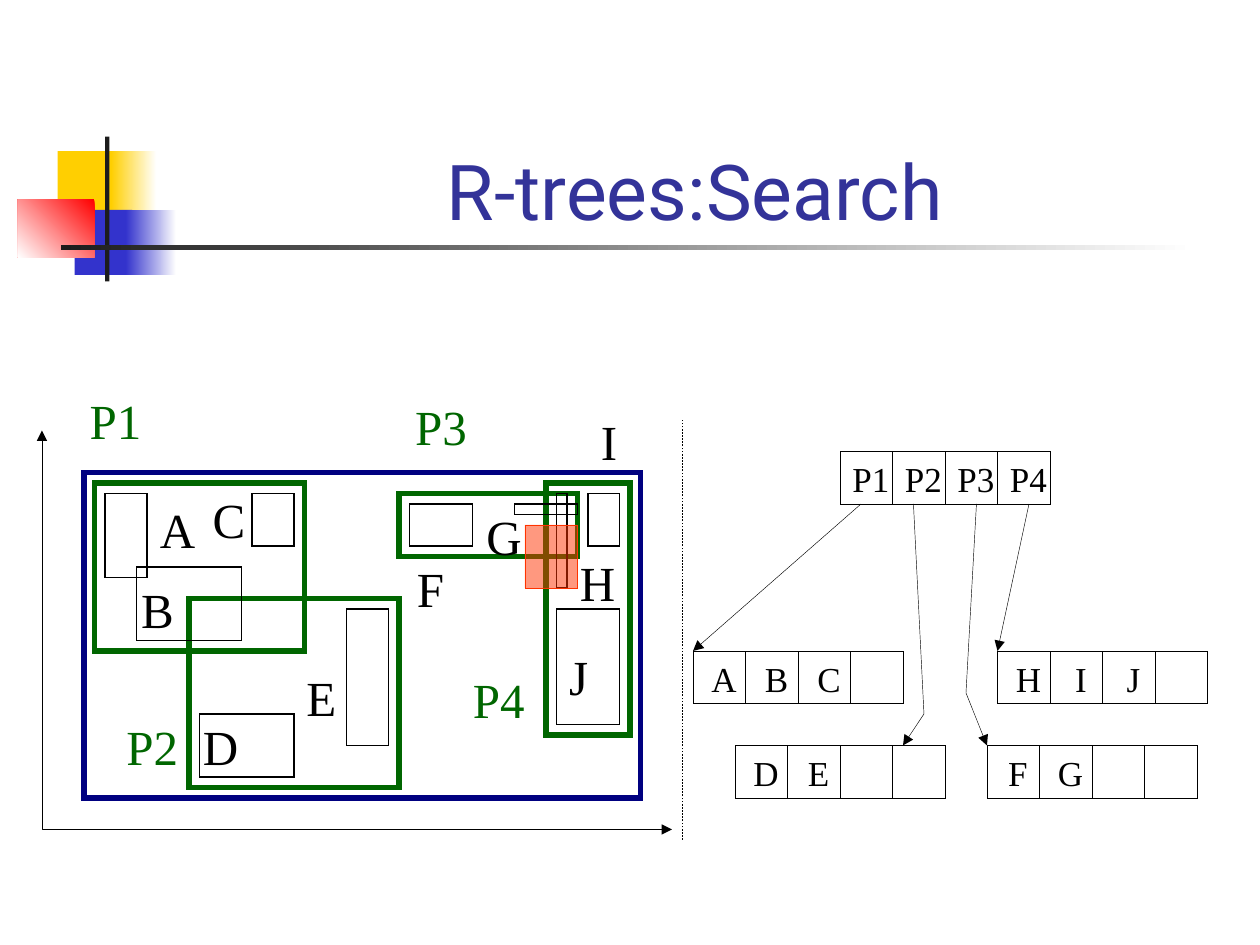
"""Build the R-tree search slide on a grid of 120 columns by 90 rows."""
import dataclasses

import lxml.etree
import pptx
import pptx.dml.color
import pptx.enum.dml
import pptx.enum.shapes
import pptx.enum.text
import pptx.oxml.ns
import pptx.util

COLUMNS, ROWS = 120, 90
UNIT = pptx.util.Inches(10) // COLUMNS
CELL, NODE_CELLS = 5, 4


@dataclasses.dataclass(frozen=True)
class Theme:
    """Hold the colours, fonts, type sizes and line widths."""
    title: str = "333399"
    ink: str = "000000"
    green: str = "006600"
    navy: str = "000080"
    query: str = "FF3300"
    yellow: str = "FFCF01"
    blue: str = "3333CC"
    red: str = "FF0000"
    charcoal: str = "1C1C1C"
    white: str = "FFFFFF"
    title_font: str = "Roboto"
    body_font: str = "Times New Roman"
    title_size: int = 44
    label_size: int = 28
    cell_size: int = 20
    hairline: float = 0.25
    thin: float = 0.75
    thick: float = 3


THEME = Theme()

ORNAMENTS = [
    ((5.5, 14.4, 5.8, 6.2), THEME.yellow, None),
    ((10.6, 14.4, 4.3, 6.2), THEME.yellow, 0),
    ((7.1, 20, 5.5, 6.2), THEME.blue, None),
    ((12, 20, 4.8, 6.2), THEME.blue, 0),
    ((1.7, 19, 7.3, 5.5), THEME.red, 225),
    ((10, 13, 0.42, 13.8), THEME.charcoal, None),
    ((5.8, 23.35, 108, 0.42), THEME.charcoal, 0),
]
REGIONS = [(9, 46, 20, 16), (52, 46, 8, 24), (18, 57, 20, 18), (38, 47, 17, 6)]
OBJECTS = [
    (10, 47, 4, 8), (24, 47, 4, 5), (13, 54, 10, 7), (19, 68, 9, 6), (33, 58, 4, 13),
    (39, 48, 6, 4), (53, 58, 6, 11), (56, 47, 3, 5), (49, 48, 6, 1), (53, 47, 1, 9),
]
OBJECT_LABELS = {
    "A": (16.9, 50.4), "B": (15, 58), "C": (21.8, 49.4), "D": (21, 71), "E": (30.6, 66.4),
    "F": (41, 56), "G": (48, 51), "H": (56.9, 55.4), "I": (58, 42), "J": (55.1, 64.4),
}
REGION_LABELS = {"P1": (11, 40), "P2": (14.5, 71), "P3": (42, 40.6), "P4": (47.5, 66.6)}
NODES = [
    (80, 43, ["P1", "P2", "P3", "P4"]),
    (94, 71, ["F", "G"]),
    (70, 71, ["D", "E"]),
    (95, 62, ["H", "I", "J"]),
    (66, 62, ["A", "B", "C"]),
]


def grid(*units):
    """Convert grid units to lengths."""
    return [pptx.util.Emu(round(unit * UNIT)) for unit in units]


def rgb(colour):
    """Convert a hex string to a colour."""
    return pptx.dml.color.RGBColor.from_string(colour)


def outline_of(shape):
    """Return the outline element of a shape."""
    return shape._element.spPr.find(pptx.oxml.ns.qn("a:ln"))


def add_box(shapes, place, fill=None, line=None, width=THEME.thin):
    """Add a rectangle with an optional fill and a square-cornered outline."""
    box = shapes.add_shape(pptx.enum.shapes.MSO_SHAPE.RECTANGLE, *grid(*place))
    box.shadow.inherit = False
    if fill:
        box.fill.solid()
        box.fill.fore_color.rgb = rgb(fill)
    else:
        box.fill.background()
    if line:
        box.line.color.rgb = rgb(line)
        box.line.width = pptx.util.Pt(width)
        lxml.etree.SubElement(outline_of(box), pptx.oxml.ns.qn("a:miter"), lim="800000")
    else:
        box.line.fill.background()
    return box


def add_ornament(shapes, place, colour, angle):
    """Add a plain block, or one that fades to white along an angle."""
    block = add_box(shapes, place, colour)
    if angle is not None:
        block.fill.gradient()
        block.fill.gradient_angle = angle
        for stop, shade in zip(block.fill.gradient_stops, (colour, THEME.white)):
            stop.color.rgb = rgb(shade)


def add_text(shapes, place, text, size, colour, font=THEME.body_font):
    """Add a centred line of text."""
    frame = shapes.add_textbox(*grid(*place)).text_frame
    frame.text = text
    frame.vertical_anchor = pptx.enum.text.MSO_ANCHOR.MIDDLE
    paragraph = frame.paragraphs[0]
    paragraph.alignment = pptx.enum.text.PP_ALIGN.CENTER
    style = paragraph.runs[0].font
    style.name, style.size = font, pptx.util.Pt(size)
    style.color.rgb = rgb(colour)
    return frame


def add_label(shapes, text, centre, size, colour):
    """Add a label around its centre, sized to its text and margins."""
    width = 2.4 + size * (0.07 + 0.055 * len(text))
    height = 1.6 + size * 0.187
    place = (centre[0] - width / 2, centre[1] - height / 2, width, height)
    frame = add_text(shapes, place, text, size, colour)
    frame.word_wrap = False
    frame.auto_size = pptx.enum.text.MSO_AUTO_SIZE.SHAPE_TO_FIT_TEXT


def style_line(stroke, ends=(), dash=None):
    """Give a line its hairline look and arrowheads."""
    stroke.line.color.rgb = rgb(THEME.ink)
    stroke.line.width = pptx.util.Pt(THEME.hairline)
    if dash:
        stroke.line.dash_style = dash
    for end in ends:
        lxml.etree.SubElement(outline_of(stroke), pptx.oxml.ns.qn(f"a:{end}"), type="triangle")
    lxml.etree.SubElement(stroke._element.spPr, pptx.oxml.ns.qn("a:effectLst"))


def add_straight(shapes, start, end, ends=(), dash=None):
    """Add a straight line between two grid points."""
    straight = pptx.enum.shapes.MSO_CONNECTOR.STRAIGHT
    style_line(shapes.add_connector(straight, *grid(*start, *end)), ends, dash)


def add_polyline(shapes, points, ends):
    """Add an open bent line through grid points."""
    builder = shapes.build_freeform(*points[0], scale=UNIT)
    builder.add_line_segments(points[1:], close=False)
    bent = builder.convert_to_shape()
    bent.fill.background()
    style_line(bent, ends)


def add_node(shapes, column, row, entries):
    """Add a tree node as a grouped row of cells."""
    node = shapes.add_group_shape().shapes
    for index in range(NODE_CELLS):
        place = (column + index * CELL, row, CELL, CELL)
        add_box(node, place, line=THEME.ink, width=THEME.hairline)
    for index, entry in enumerate(entries):
        centre = (column + (index + 0.59) * CELL, row + 0.52 * CELL)
        add_label(node, entry, centre, THEME.cell_size, THEME.ink)


def add_map(shapes):
    """Add the plane with its regions, objects, axes and labels."""
    for region in REGIONS:
        add_box(shapes, region, line=THEME.green, width=THEME.thick)
    for item in OBJECTS:
        add_box(shapes, item, line=THEME.ink)
    add_box(shapes, (8, 45, 53, 31), line=THEME.navy, width=THEME.thick)
    add_polyline(shapes, [(4, 41), (4, 79), (64, 79)], ("headEnd", "tailEnd"))
    for labels, colour in ((OBJECT_LABELS, THEME.ink), (REGION_LABELS, THEME.green)):
        for text, centre in labels.items():
            add_label(shapes, text, centre, THEME.label_size, colour)


def add_tree(shapes):
    """Add the tree nodes and the pointers between them."""
    for node in NODES:
        add_node(shapes, *node)
    add_straight(shapes, (65, 80), (65, 40), dash=pptx.enum.dml.MSO_LINE.DASH)
    for start, end in (((82, 48), (66, 62)), ((98, 48), (95, 62))):
        add_straight(shapes, start, end, ("tailEnd",))
    for points in ([(87, 48), (88, 68), (86, 71)], [(93, 48), (92, 66), (94, 71)]):
        add_polyline(shapes, points, ("tailEnd",))


def add_query(shapes):
    """Add the half-transparent search window."""
    window = add_box(shapes, (50, 50, 5, 6), THEME.query, THEME.query, THEME.hairline)
    tint = window._element.spPr.find(pptx.oxml.ns.qn("a:solidFill"))[0]
    lxml.etree.SubElement(tint, pptx.oxml.ns.qn("a:alpha"), val="50000")


def main():
    """Build and save the slide."""
    deck = pptx.Presentation()
    deck.slide_width, deck.slide_height = grid(COLUMNS, ROWS)
    shapes = deck.slides.add_slide(deck.slide_layouts[6]).shapes
    for ornament in ORNAMENTS:
        add_ornament(shapes, *ornament)
    title = add_text(shapes, (15.1, 8.1, 102.2, 15), "R-trees:Search",
                     THEME.title_size, THEME.title, THEME.title_font)
    title.word_wrap = True
    title.vertical_anchor = pptx.enum.text.MSO_ANCHOR.BOTTOM
    add_map(shapes)
    add_tree(shapes)
    add_query(shapes)
    deck.save("out.pptx")


if __name__ == "__main__":
    main()
